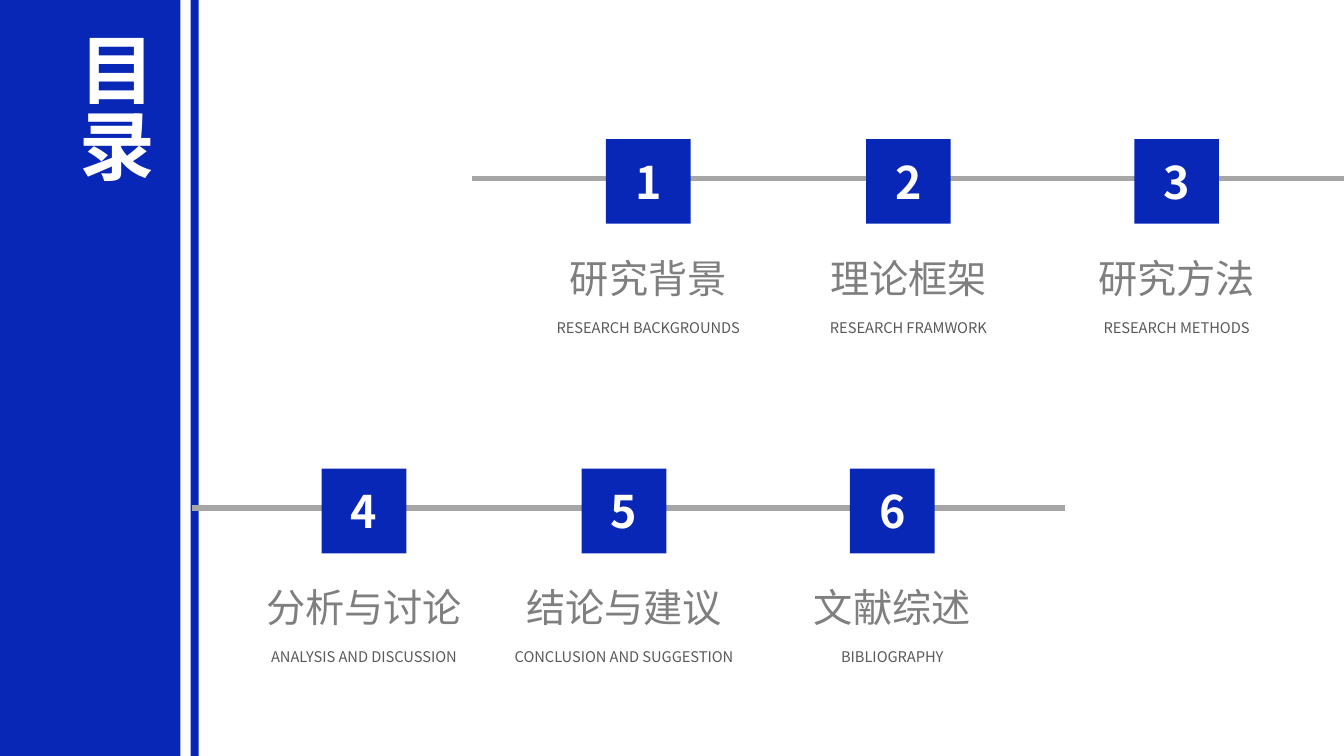
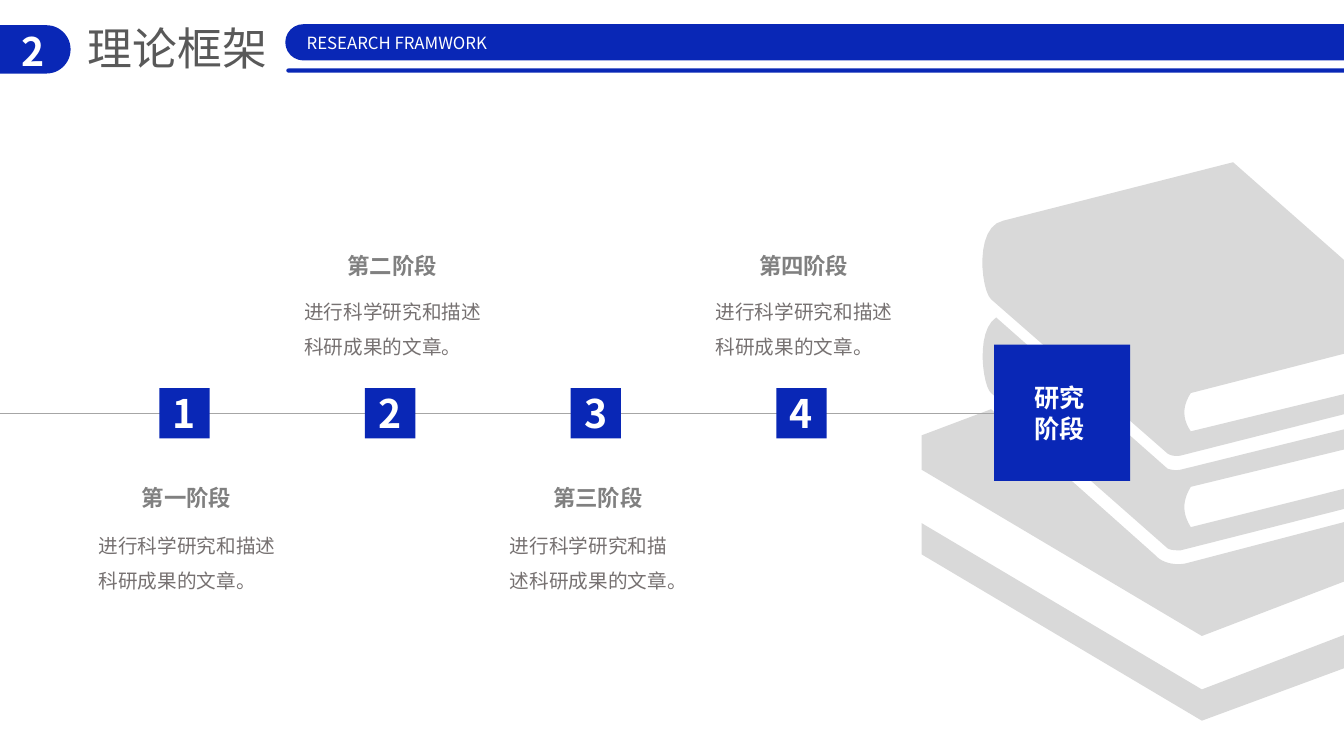
from lxml.etree import SubElement
from pptx import Presentation
from pptx.dml.color import RGBColor
from pptx.enum.shapes import MSO_CONNECTOR, MSO_SHAPE as Shape
from pptx.enum.text import MSO_ANCHOR as Anchor, MSO_AUTO_SIZE as AutoSize, PP_ALIGN as Align
from pptx.oxml.ns import qn
from pptx.util import Inches, Pt

# Shared style
WIDTH, HEIGHT = 13.33, 7.5
FONT = "Noto Sans CJK SC"
BLUE, WHITE, RULE, BOOK = "0927B6", "FFFFFF", "A6A6A6", "D9D9D9"
DARK, MID, STAGE, BODY = "595959", "7F7F7F", "808080", "767171"
PADDING = (0.1, 0.05, 0.1, 0.05)

# Contents slide: each row has a top, an offset, a line and its sections
SECTION_LEFTS = (6.01, 8.59, 11.25)
SECTION_SIZE = 0.84
SECTION_ROWS = [
    (1.38, 0, (4.68, WIDTH), [
        ("研究背景", "RESEARCH BACKGROUNDS"),
        ("理论框架", "RESEARCH FRAMWORK"),
        ("研究方法", "RESEARCH METHODS")]),
    (4.65, -2.82, (1.9, 10.56), [
        ("分析与讨论", "ANALYSIS AND DISCUSSION"),
        ("结论与建议", "CONCLUSION AND SUGGESTION"),
        ("文献综述", "BIBLIOGRAPHY")]),
]

# Framework slide: stage name and width of its description
STAGES = [("第一阶段", 2.0), ("第二阶段", 2.04), ("第三阶段", 1.93), ("第四阶段", 2.07)]
STAGE_TEXT = "进行科学研究和描述科研成果的文章。"
STAGE_LEFT, STAGE_STEP, STAGE_SIZE = 1.58, 2.04, 0.5
AXIS = 4.1

# Book outlines: two numbers are a corner, six are a Bézier curve
BOOKS = [
    [(13.33, 4.26), (13.33, 4.46), (11.81, 4.83),
     (11.72, 4.98, 11.73, 5.1, 11.81, 5.23), (13.33, 4.85), (13.33, 5.05),
     (11.71, 5.46), (11.66, 5.46, 11.61, 5.46, 11.58, 5.44), (9.83, 3.9),
     (9.75, 3.84, 9.67, 3.29, 9.88, 3.15), (11.58, 4.65),
     (11.61, 4.66, 11.66, 4.67, 11.71, 4.66)],
    [(9.95, 2.19), (12.23, 1.61), (13.33, 2.58), (13.33, 3.51), (11.81, 3.9),
     (11.72, 4.04, 11.73, 4.16, 11.81, 4.28), (13.33, 3.91), (13.33, 4.11),
     (11.71, 4.52), (11.66, 4.53, 11.61, 4.52, 11.58, 4.5), (9.83, 2.97),
     (9.73, 2.88, 9.66, 2.25, 9.95, 2.19)],
    [(11.92, 6.84), (9.14, 5.19), (9.14, 5.5), (11.92, 7.15), (13.33, 6.63),
     (13.33, 6.3)],
    [(13.33, 5.18), (11.76, 5.59), (11.66, 5.61, 11.53, 5.59, 11.46, 5.51),
     (9.83, 4.06), (9.14, 4.32), (9.14, 4.66), (11.92, 6.31), (13.33, 5.77)],
]


def color(hex_value):
    return RGBColor.from_string(hex_value)


def write(shape, text, size=14, fill=WHITE, bold=False, align=Align.LEFT,
          anchor=Anchor.TOP, wrap=True, spacing=None, insets=PADDING):
    frame = shape.text_frame
    frame.word_wrap = wrap
    frame.auto_size = AutoSize.NONE
    frame.vertical_anchor = anchor
    (frame.margin_left, frame.margin_top,
     frame.margin_right, frame.margin_bottom) = map(Inches, insets)
    paragraph = frame.paragraphs[0]
    paragraph.alignment = align
    if spacing:
        paragraph.line_spacing = spacing
    run = paragraph.add_run()
    run.text = text
    font = run.font
    font.size, font.bold, font.name = Pt(size), bold, FONT
    font.color.rgb = color(fill)
    SubElement(font._element, qn("a:ea")).set("typeface", FONT)


def paint(shape, fill):
    shape.shadow.inherit = False
    shape.fill.solid()
    shape.fill.fore_color.rgb = color(fill)
    shape.line.fill.background()


def add_block(slide, left, top, width, height, kind=Shape.RECTANGLE):
    shape = slide.shapes.add_shape(kind, *map(Inches, (left, top, width, height)))
    if kind == Shape.ROUNDED_RECTANGLE:
        shape.adjustments[0] = 0.5
    paint(shape, BLUE)
    return shape


def add_number(slide, number, left, top, side, size):
    write(add_block(slide, left, top, side, side), str(number), size=size, bold=True,
          align=Align.CENTER, anchor=Anchor.MIDDLE, insets=(0, 0, 0, 0))


def add_text(slide, text, left, top, width, height, **style):
    box = slide.shapes.add_textbox(*map(Inches, (left, top, width, height)))
    write(box, text, **style)


def add_rule(slide, start, end, y, weight):
    rule = slide.shapes.add_connector(
        MSO_CONNECTOR.STRAIGHT, *map(Inches, (start, y, end, y)))
    rule.line.color.rgb = color(RULE)
    rule.line.width = Pt(weight)
    SubElement(rule.element.spPr, qn("a:effectLst"))


def set_title(slide, text, left, top, width, height, **style):
    title = slide.shapes.title
    title.left, title.top, title.width, title.height = map(
        Inches, (left, top, width, height))
    write(title, text, **style)
    title.element.getparent().append(title.element)  # bring to front
    return title


def trace(outline, steps=12):
    points = []
    for segment in outline:
        if len(segment) == 2:
            points.append(segment)
            continue
        controls = [points[-1], segment[:2], segment[2:4], segment[4:]]
        for step in range(1, steps + 1):
            t = step / steps
            weights = ((1 - t) ** 3, 3 * t * (1 - t) ** 2, 3 * t * t * (1 - t), t ** 3)
            points.append(tuple(sum(w * point[axis] for w, point in zip(weights, controls))
                                for axis in (0, 1)))
    return [(Inches(x), Inches(y)) for x, y in points]


def add_books(slide):
    outlines = [trace(outline) for outline in BOOKS]
    builder = slide.shapes.build_freeform(*outlines[0][0], scale=1.0)
    for index, points in enumerate(outlines):
        if index:
            builder.move_to(*points[0])
        builder.add_line_segments(points[1:], close=True)
    paint(builder.convert_to_shape(), BOOK)


def build_contents(slide):
    # Side band with vertical title
    add_block(slide, 0, 0, 1.79, HEIGHT)
    add_block(slide, 1.89, 0, 0.08, HEIGHT)
    title = set_title(slide, "目录", 0.58, 0.27, 1.11, 1.92, size=54, bold=True,
                      align=Align.JUSTIFY)
    title.element.txBody.bodyPr.set("vert", "eaVert")

    # Numbered sections along two lines
    number = 0
    for top, offset, (start, end), sections in SECTION_ROWS:
        add_rule(slide, start, end, top + 0.39, 4)
        for left, (name, english) in zip(SECTION_LEFTS, sections):
            number += 1
            left += offset
            add_number(slide, number, left, top, SECTION_SIZE, 32)
            center = left + SECTION_SIZE / 2
            for text, gap, width, height, size, fill in (
                    (name, 1.09, 2.17, 0.57, 28, MID),
                    (english, 1.73, 2.55, 0.28, 10.5, DARK)):
                add_text(slide, text, center - width / 2, top + gap, width, height,
                         size=size, fill=fill, align=Align.CENTER, wrap=False)


def build_framework(slide):
    add_books(slide)

    # Header: number tab, title and bars
    tab = add_block(slide, -0.28, 0.25, 0.98, 0.48, Shape.ROUNDED_RECTANGLE)
    write(tab, "2", size=28, bold=True, align=Align.CENTER, anchor=Anchor.MIDDLE,
          insets=(0.23, 0.02, 0, 0))
    set_title(slide, "理论框架", 0.77, 0.16, 2, 0.64, size=32, fill=DARK, wrap=False)
    bar = add_block(slide, 2.83, 0.24, 11.03, 0.36, Shape.ROUNDED_RECTANGLE)
    write(bar, "RESEARCH FRAMWORK", size=12, anchor=Anchor.MIDDLE, insets=(0.16, 0, 0, 0))
    add_block(slide, 2.84, 0.68, 11.03, 0.04, Shape.ROUNDED_RECTANGLE)

    # Stages alternate below and above the axis
    add_rule(slide, 0, 9.86, AXIS, 0.5)
    for index, (name, width) in enumerate(STAGES):
        left = STAGE_LEFT + index * STAGE_STEP
        name_top, text_top = (2.45, 2.81) if index % 2 else (4.75, 5.13)
        add_text(slide, name, left - 0.27, name_top, 1.1, 0.37,
                 size=16, fill=STAGE, bold=True, wrap=False)
        add_text(slide, STAGE_TEXT, left - 0.7, text_top, width, 0.81,
                 fill=BODY, spacing=1.5)
        add_number(slide, index + 1, left, AXIS - STAGE_SIZE / 2, STAGE_SIZE, 28)

    # Goal at the end of the axis
    write(add_block(slide, 9.86, 3.42, 1.35, 1.35), "研究阶段", size=18, bold=True,
          anchor=Anchor.MIDDLE, insets=(0.4, 0, 0.4, 0))


def main():
    presentation = Presentation()
    presentation.slide_width, presentation.slide_height = Inches(WIDTH), Inches(HEIGHT)
    title_only = presentation.slide_layouts[5]
    for build in (build_contents, build_framework):
        build(presentation.slides.add_slide(title_only))
    presentation.save("out.pptx")


if __name__ == "__main__":
    main()
